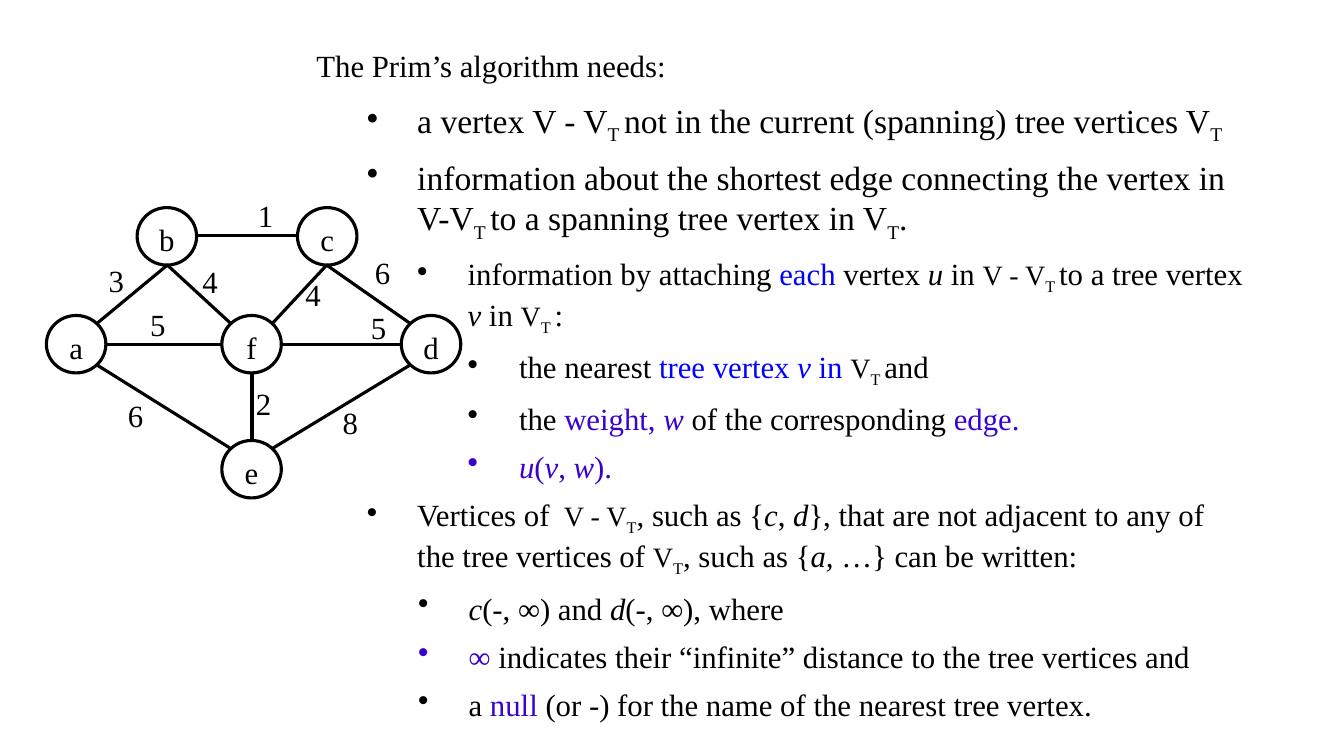
"""Build a slide on what Prim's algorithm needs, with a weighted graph."""
from dataclasses import dataclass
from math import cos, radians, sin

from lxml.etree import SubElement
from pptx import Presentation
from pptx.dml.color import RGBColor
from pptx.enum.shapes import MSO_CONNECTOR, MSO_SHAPE
from pptx.enum.text import MSO_ANCHOR, MSO_AUTO_SIZE, PP_ALIGN
from pptx.oxml.ns import qn
from pptx.util import Emu, Pt

PX = 9144


@dataclass(frozen=True)
class Theme:
    """Colours, type sizes and the font of the slide."""
    black: RGBColor = RGBColor(0, 0, 0)
    white: RGBColor = RGBColor(255, 255, 255)
    blue: RGBColor = RGBColor(0, 0, 255)
    violet: RGBColor = RGBColor(0x38, 0x03, 0xCD)
    face: str = "Times New Roman"
    large: int = 24
    base: int = 22
    small: int = 20
    line: float = 2.25


class Board:
    """Draw styled elements on one slide."""

    def __init__(self, slide, theme):
        self.shapes = slide.shapes
        self.theme = theme

    def px(self, *sizes):
        return [Emu(round(size * PX)) for size in sizes]

    def style(self, para, size):
        para.font.name = self.theme.face
        para.font.size = Pt(size)
        para.font.color.rgb = self.theme.black

    def box(self, x, y, w, h, wrap):
        frame = self.shapes.add_textbox(*self.px(x, y, w, h)).text_frame
        frame.word_wrap = wrap
        frame.auto_size = MSO_AUTO_SIZE.SHAPE_TO_FIT_TEXT
        return frame

    def label(self, text, x, y):
        para = self.box(x, y, 36, 47, False).paragraphs[0]
        para.text = text
        self.style(para, self.theme.base)

    def node(self, text, x, y, w, h):
        shape = self.shapes.add_shape(MSO_SHAPE.OVAL, *self.px(x, y, w, h))
        shape.shadow.inherit = False
        shape.fill.solid()
        shape.fill.fore_color.rgb = self.theme.white
        shape.line.color.rgb = self.theme.black
        shape.line.width = Pt(self.theme.line)
        frame = shape.text_frame
        frame.vertical_anchor = MSO_ANCHOR.TOP
        para = frame.paragraphs[0]
        para.text = text
        para.alignment = PP_ALIGN.CENTER
        self.style(para, self.theme.base)

    def edge(self, start, end):
        line = self.shapes.add_connector(
            MSO_CONNECTOR.STRAIGHT, *self.px(*start, *end))
        line.line.color.rgb = self.theme.black
        line.line.width = Pt(self.theme.line)
        SubElement(line._element.spPr, qn("a:effectLst"))

    def bullet(self, para, left, hang):
        props = para._p.get_or_add_pPr()
        props.set("marL", str(left * PX))
        props.set("indent", str(-hang * PX))
        SubElement(props, qn("a:buChar")).set("char", "•")

    def run(self, para, text, marks=""):
        run = para.add_run()
        run.text = text
        font = run.font
        if "i" in marks:
            font.italic = True
        if "m" in marks:
            font.size = Pt(self.theme.small)
        if "s" in marks:
            font._element.set("baseline", "-25000")
        if "b" in marks:
            font.color.rgb = self.theme.blue
        if "v" in marks:
            font.color.rgb = self.theme.violet

    def notes(self, items, x, y, w, h):
        frame = self.box(x, y, w, h, True)
        for count, (level, left, hang, size, parts) in enumerate(items):
            para = frame.add_paragraph() if count else frame.paragraphs[0]
            para.level = level
            para.space_after = Pt(8 if hang else 12)
            if hang:
                self.bullet(para, left, hang)
            self.style(para, size)
            for part in parts:
                self.run(para, *part)


THEME = Theme()
BIG, BASE = THEME.large, THEME.base
ITEMS = [
    (0, 0, 0, BASE, [("The Prim’s algorithm needs:",)]),
    (1, 100, 50, BIG, [
        ("a vertex V - V",), ("T ", "s"),
        ("not in the current (spanning) tree vertices V",), ("T", "s")]),
    (1, 100, 50, BIG, [
        ("information about the shortest edge connecting the vertex in V-V",),
        ("T ", "s"), ("to a spanning tree vertex in V",), ("T", "s"), (".",)]),
    (1, 150, 50, BASE, [
        ("information by attaching ",), ("each", "b"), (" vertex ",),
        ("u", "i"), (" in ",), ("V - V", "m"), ("T ", "ms"),
        ("to a tree vertex ",), ("v", "i"), (" in ",), ("V", "m"),
        ("T ", "ms"), (":",)]),
    (2, 201, 51, BASE, [
        ("the nearest ",), ("tree vertex ", "b"), ("v", "bi"), (" in ", "b"),
        ("V", "m"), ("T ", "ms"), ("and",)]),
    (2, 201, 51, BASE, [
        ("the ",), ("weight, ", "v"), ("w", "vi"),
        (" of the corresponding ",), ("edge.", "v")]),
    (2, 201, 51, BASE, [
        ("u", "vi"), ("(", "v"), ("v", "vi"), (", ", "v"), ("w", "vi"),
        (").", "v")]),
    (0, 100, 50, BASE, [
        ("Vertices of ",), (" V - V", "m"), ("T", "ms"), (", such as {",),
        ("c", "i"), (", ",), ("d", "i"),
        ("}, that are not adjacent to any of the tree vertices of ",),
        ("V", "m"), ("T", "ms"), (", such as {",), ("a, ", "i"),
        ("…} can be written:",)]),
    (1, 151, 50, BASE, [
        ("c", "i"), ("(-, ∞) and ",), ("d", "i"), ("(-, ∞), where",)]),
    (1, 151, 50, BASE, [
        ("∞ ", "v"),
        ("indicates their “infinite” distance to the tree vertices and",)]),
    (1, 151, 50, BASE, [
        ("a ",), ("null", "v"),
        (" (or -) for the name of the nearest tree vertex.",)]),
]
WIDE, HIGH = 59, 57
NODES = {"b": (136, 206), "c": (295, 206), "f": (220, 313),
         "a": (46, 313), "d": (398, 313), "e": (220, 437)}
SIDES = {"E": 0, "NE": 45, "N": 90, "NW": 135,
         "W": 180, "SW": 225, "S": 270, "SE": 315}
EDGES = ["b E c W", "a E f W", "f E d W", "a NE b S", "f NE c S",
         "e NE d SW", "a SE e NW", "e N f S", "f NW b S", "d NW c S"]
WEIGHTS = [("1", 246, 190), ("3", 98, 255), ("6", 362, 247),
           ("4", 191, 256), ("4", 293, 269), ("5", 139, 298),
           ("5", 358, 301), ("6", 117, 389), ("8", 330, 396),
           ("2", 244, 377)]


def rim(name, side):
    """Give the point on the rim of a node that faces a side."""
    x, y = NODES[name]
    turn = radians(SIDES[side])
    return (round(x + WIDE / 2 * (1 + cos(turn))),
            round(y + HIGH / 2 * (1 - sin(turn))))


def main():
    """Build and save the slide."""
    deck = Presentation()
    deck.slide_width, deck.slide_height = Emu(1333 * PX), Emu(750 * PX)
    board = Board(deck.slides.add_slide(deck.slide_layouts[6]), THEME)
    board.notes(ITEMS, 304, 41, 943, 656)
    for name, place in NODES.items():
        board.node(name, *place, WIDE, HIGH)
    for link in EDGES:
        first, out, last, into = link.split()
        board.edge(rim(first, out), rim(last, into))
    for weight in WEIGHTS:
        board.label(*weight)
    deck.save("out.pptx")


if __name__ == "__main__":
    main()
